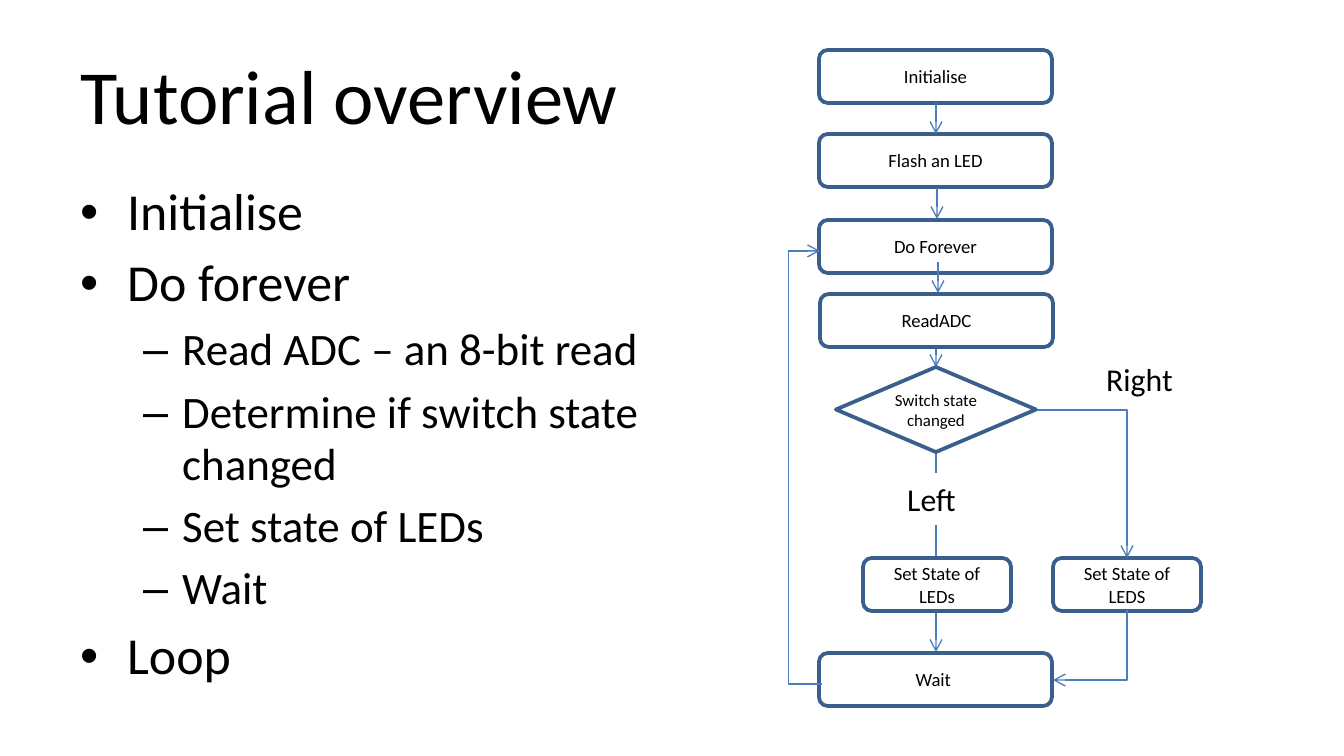
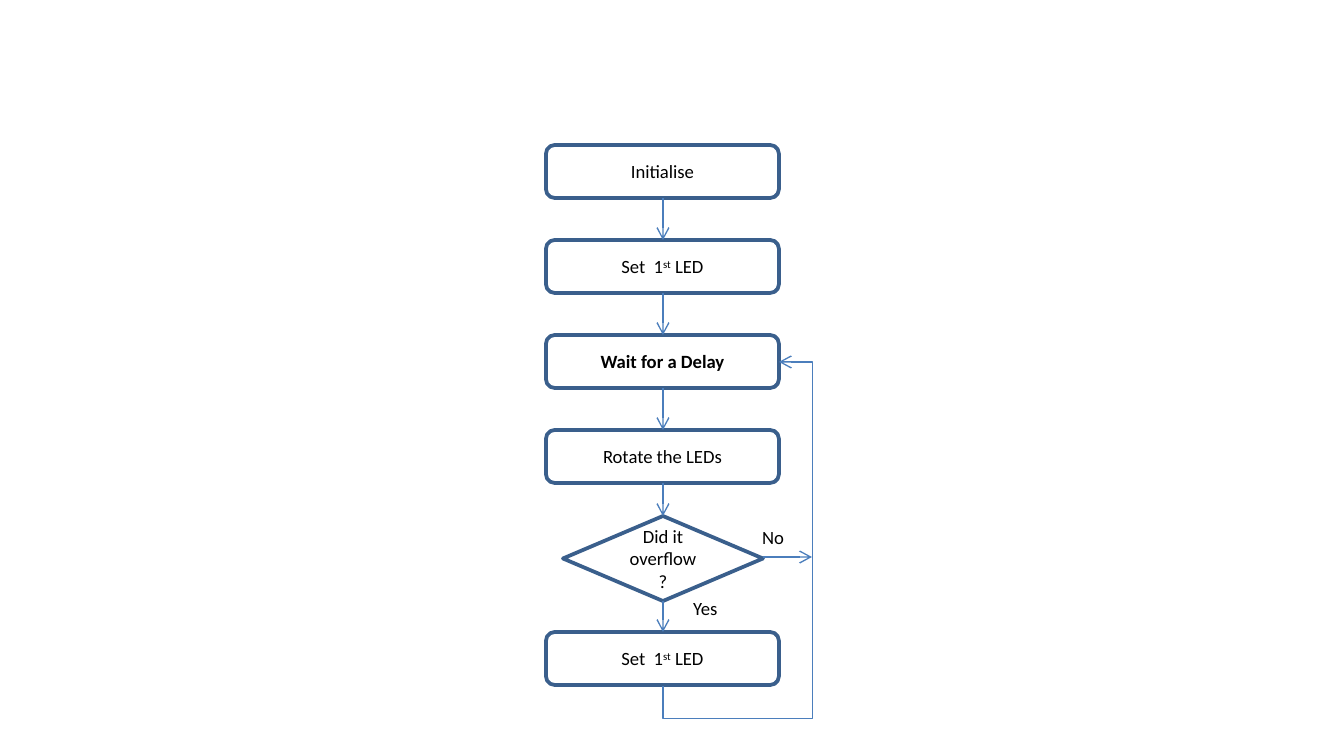
from lxml.etree import SubElement
from pptx import Presentation
from pptx.dml.color import RGBColor
from pptx.enum.shapes import MSO_CONNECTOR, MSO_SHAPE
from pptx.enum.text import MSO_ANCHOR, MSO_AUTO_SIZE, PP_ALIGN
from pptx.oxml.ns import qn
from pptx.util import Pt

PX = 6804
FONT = "Calibri"
BLACK = RGBColor(0x00, 0x00, 0x00)
WHITE = RGBColor(0xFF, 0xFF, 0xFF)
OUTLINE = RGBColor(0x3A, 0x5F, 0x8C)
ARROW = RGBColor(0x4B, 0x7E, 0xBC)
BOX_WIDTH, BOX_HEIGHT = 233, 53
STATE_WIDTH = 148
DECISION_WIDTH, DECISION_HEIGHT = 200, 85
FIRST_LED = [("Set  1", {}), ("st", {"baseline": "30000"}), (" LED", {})]
BULLETS = {
    0: {"size": 27.8, "margin": 47, "indent": -47, "mark": "•", "before": 5.7},
    1: {"size": 24.1, "margin": 102, "indent": -39, "mark": "–", "before": 5.3},
}
OVERVIEW = [
    (0, "Initialise"),
    (0, "Do forever"),
    (1, "Read ADC – an 8-bit read"),
    (1, "Determine if switch state changed"),
    (1, "Set state of LEDs"),
    (1, "Wait"),
    (0, "Loop"),
]


def set_attributes(target, values):
    for name, value in values.items():
        setattr(target, name, value)


def scaled(*lengths):
    return [round(length * PX) for length in lengths]


def add_run(paragraph, text, size, bold=False, baseline=None):
    run = paragraph.add_run()
    run.text = text
    set_attributes(run.font, {"name": FONT, "size": Pt(size), "bold": bold})
    run.font.color.rgb = BLACK
    if baseline:
        run.font._element.set("baseline", baseline)


def add_title(slide, text):
    title = slide.shapes.title
    left, top, width, height = scaled(67, 31, 1210, 126)
    set_attributes(title, {"left": left, "top": top, "width": width, "height": height})
    set_attributes(title.text_frame, {
        "vertical_anchor": MSO_ANCHOR.MIDDLE,
        "word_wrap": True,
        "auto_size": MSO_AUTO_SIZE.NONE,
    })
    paragraph = title.text_frame.paragraphs[0]
    paragraph.alignment = PP_ALIGN.LEFT
    add_run(paragraph, text, 41)


def add_bullets(slide, bounds, items):
    frame = slide.shapes.add_textbox(*scaled(*bounds)).text_frame
    frame.word_wrap = True
    for index, (level, text) in enumerate(items):
        style = BULLETS[level]
        paragraph = frame.add_paragraph() if index else frame.paragraphs[0]
        set_attributes(paragraph, {
            "level": level,
            "line_spacing": 0.97,
            "space_before": Pt(style["before"]),
        })
        properties = paragraph._p.get_or_add_pPr()
        properties.set("marL", str(style["margin"] * PX))
        properties.set("indent", str(style["indent"] * PX))
        SubElement(properties, qn("a:buFont"), typeface="Arial")
        SubElement(properties, qn("a:buChar"), char=style["mark"])
        add_run(paragraph, text, style["size"])


def add_node(slide, kind, bounds, runs, size=10, inset=None):
    shape = slide.shapes.add_shape(kind, *scaled(*bounds))
    shape.shadow.inherit = False
    shape.fill.solid()
    shape.fill.fore_color.rgb = WHITE
    shape.line.color.rgb = OUTLINE
    shape.line.width = Pt(2)
    frame = shape.text_frame
    set_attributes(frame, {"vertical_anchor": MSO_ANCHOR.MIDDLE, "word_wrap": True})
    if inset is not None:
        sides = ("left", "top", "right", "bottom")
        set_attributes(frame, {f"margin_{side}": inset for side in sides})
    paragraph = frame.paragraphs[0]
    paragraph.alignment = PP_ALIGN.CENTER
    for text, values in runs:
        add_run(paragraph, text, size, **values)


def add_process(slide, left, top, runs, width=BOX_WIDTH):
    if isinstance(runs, str):
        runs = [(runs, {})]
    bounds = (left, top, width, BOX_HEIGHT)
    add_node(slide, MSO_SHAPE.FLOWCHART_ALTERNATE_PROCESS, bounds, runs)


def add_decision(slide, left, top, text, size=10, inset=None):
    bounds = (left, top, DECISION_WIDTH, DECISION_HEIGHT)
    add_node(slide, MSO_SHAPE.FLOWCHART_DECISION, bounds, [(text, {})], size, inset)


def add_label(slide, bounds, text, size, filled=False):
    label = slide.shapes.add_textbox(*scaled(*bounds))
    label.text_frame.word_wrap = False
    if filled:
        label.fill.solid()
        label.fill.fore_color.rgb = WHITE
    add_run(label.text_frame.paragraphs[0], text, size)


def add_arrow(slide, start, end, kind=MSO_CONNECTOR.STRAIGHT):
    connector = slide.shapes.add_connector(kind, *scaled(*start, *end))
    connector.line.color.rgb = ARROW
    connector.line.width = Pt(0.75)
    properties = connector._element.spPr
    SubElement(properties.find(qn("a:ln")), qn("a:tailEnd"), type="arrow")
    SubElement(properties, qn("a:effectLst"))
    return connector


def add_elbow(slide, start, end, preset, turns=(), starts_vertical=False):
    if starts_vertical:
        center_x, center_y = (start[0] + end[0]) / 2, (start[1] + end[1]) / 2
        half_x, half_y = (end[1] - start[1]) / 2, (start[0] - end[0]) / 2
        start = center_x - half_x, center_y - half_y
        end = center_x + half_x, center_y + half_y
    connector = add_arrow(slide, start, end, MSO_CONNECTOR.ELBOW)
    properties = connector._element.spPr
    if starts_vertical:
        properties.find(qn("a:xfrm")).set("rot", str(90 * 60000))
    geometry = properties.find(qn("a:prstGeom"))
    geometry.set("prst", preset)
    for number, turn in enumerate(turns, 1):
        SubElement(geometry.find(qn("a:avLst")), qn("a:gd"),
                   name=f"adj{number}", fmla=f"val {round(turn * 100000)}")


def build_overview(presentation):
    slide = presentation.slides.add_slide(presentation.slide_layouts[5])
    left, center = 819, 936
    add_title(slide, "Tutorial overview")
    add_process(slide, left, 50, "Initialise")
    add_process(slide, left, 134, "Flash an LED")
    add_arrow(slide, (center, 103), (center, 134))
    add_arrow(slide, (center, 328), (center, 367))
    add_bullets(slide, (67, 176, 700, 499), OVERVIEW)
    add_process(slide, left, 653, "Wait ")
    add_process(slide, 1053, 558, "Set State of LEDS", STATE_WIDTH)
    add_arrow(slide, (center, 390), (center, 652))
    add_elbow(slide, (1035, 410), (1127, 558), "bentConnector2")
    add_elbow(slide, (1127, 610), (1053, 680), "bentConnector2", starts_vertical=True)
    add_label(slide, (894, 473, 77, 52), "Left", 17, True)
    add_label(slide, (1093, 353, 94, 52), "Right", 17, True)
    add_process(slide, left, 220, "Do Forever")
    add_elbow(slide, (822, 684), (820, 251), "bentConnector3", [16.5])
    add_arrow(slide, (937, 188), (937, 219))
    add_process(slide, 863, 558, "Set State of LEDs", STATE_WIDTH)
    add_decision(slide, 836, 367, "Switch state changed", 9, 0)
    add_process(slide, left + 1, 294, "ReadADC")
    add_arrow(slide, (938, 262), (938, 293))


def build_rotation(presentation):
    slide = presentation.slides.add_slide(presentation.slide_layouts[6])
    left, center, first_top, step = 546, 663, 145, 95
    decision_top, last_top = 516, 632
    steps = ["Initialise", FIRST_LED, [("Wait for a Delay", {"bold": True})],
             "Rotate the LEDs"]
    tops = [first_top + step * index for index in range(len(steps))]
    for top, runs in zip(tops, steps):
        add_process(slide, left, top, runs)
    add_process(slide, left, last_top, FIRST_LED)
    add_decision(slide, 563, decision_top, "Did it overflow ?")
    for top, next_top in zip(tops, tops[1:] + [decision_top]):
        add_arrow(slide, (center, top + BOX_HEIGHT), (center, next_top))
    add_arrow(slide, (center, decision_top + DECISION_HEIGHT), (center, last_top))
    add_elbow(slide, (center, 686), (779, 362), "bentConnector4", [-0.1, 1.29], True)
    add_arrow(slide, (763, 557), (812, 557))
    add_label(slide, (749, 519, 50, 36), "No", 10)
    add_label(slide, (680, 590, 52, 36), "Yes", 10)


def main():
    presentation = Presentation()
    width, height = scaled(1344, 756)
    set_attributes(presentation, {"slide_width": width, "slide_height": height})
    build_overview(presentation)
    build_rotation(presentation)
    presentation.save("out.pptx")


if __name__ == "__main__":
    main()
